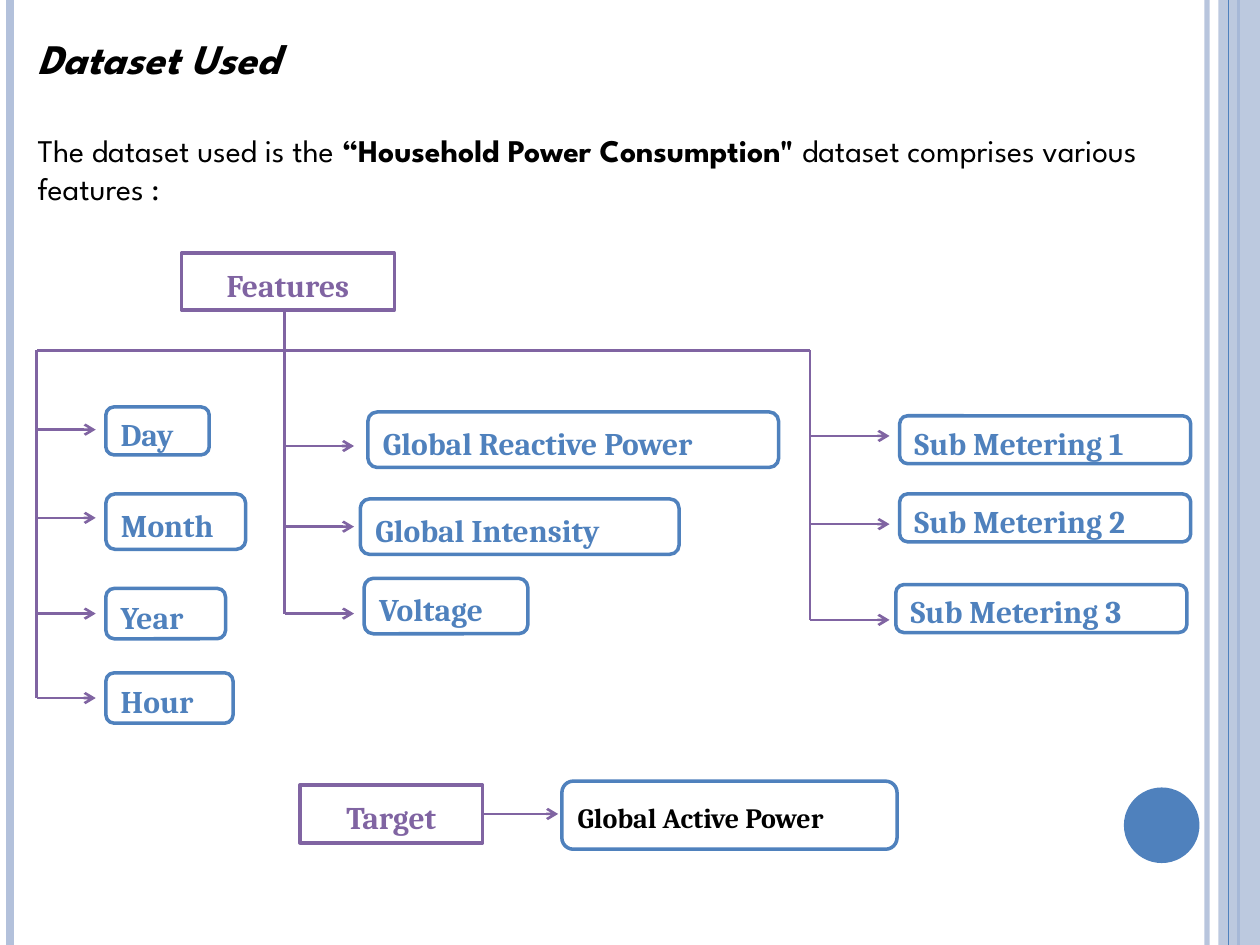
"""Build the dataset slide: a feature tree and its prediction target."""
from lxml import etree
from pptx import Presentation
from pptx.dml.color import RGBColor
from pptx.enum import shapes, text
from pptx.oxml import ns
from pptx.util import Pt

PX = 9144
COLORS = {"purple": "8064A2", "blue": "4F81BD", "pale": "B3C1DB",
          "white": "FFFFFF", "black": "000000"}
RGB = {name: RGBColor.from_string(value) for name, value in COLORS.items()}
KIND = shapes.MSO_SHAPE

deck = Presentation()
deck.slide_width, deck.slide_height = 1000 * PX, 750 * PX
page = deck.slides.add_slide(deck.slide_layouts[6])


def add_line(x1, y1, x2, y2, color="purple", width=1.5, arrow=False):
    line = page.shapes.add_connector(
        shapes.MSO_CONNECTOR.STRAIGHT, x1 * PX, y1 * PX, x2 * PX, y2 * PX)
    line.line.color.rgb = RGB[color]
    line.line.width = Pt(width)
    if arrow:
        etree.SubElement(line.line._ln, ns.qn("a:tailEnd"), type="arrow")
    etree.SubElement(line._element.spPr, ns.qn("a:effectLst"))
    return line


def add_label(kind, words, x, y, width, height, edge, ink, size=18, after=10):
    box = page.shapes.add_shape(kind, x * PX, y * PX, width * PX, height * PX)
    box.shadow.inherit = False
    box.fill.solid()
    box.fill.fore_color.rgb = RGB["white"]
    box.line.color.rgb = RGB[edge]
    box.line.width = Pt(2)
    box.text_frame.text = words
    box.text_frame.vertical_anchor = text.MSO_ANCHOR.MIDDLE
    para = box.text_frame.paragraphs[0]
    centred = kind == KIND.RECTANGLE
    para.alignment = text.PP_ALIGN.CENTER if centred else text.PP_ALIGN.LEFT
    para.line_spacing = 1.15
    para.space_after = Pt(after)
    font = para.runs[0].font
    font.name, font.size, font.bold = "Cambria", Pt(size), True
    font.color.rgb = RGB[ink]
    return box


inner_rule = add_line(958, 0, 958, 750, "pale", 3)
add_line(8, 0, 8, 750, "pale", 4.5)
add_line(983, 0, 983, 750, "blue", 1.5)
band = page.shapes.add_shape(KIND.RECTANGLE, 967 * PX, 0, 33 * PX, 750 * PX)
add_line(975, 0, 975, 750, "blue", 0.75)
disc = page.shapes.add_shape(KIND.OVAL, 892 * PX, 625 * PX, 60 * PX, 60 * PX)
for shape, color in ((band, "pale"), (disc, "blue")):
    shape.shadow.inherit = False
    shape.fill.solid()
    shape.fill.fore_color.rgb = RGB[color]
    shape.line.fill.background()
for part, alpha in ((inner_rule.line._ln, 93000), (band._element.spPr, 87000)):
    tint = part.find(ns.qn("a:solidFill"))[0]
    etree.SubElement(tint, ns.qn("a:alpha"), val=str(alpha))

passages = [
    (20, 21, 244, 50, 24, True, [("Dataset Used", True)]),
    (20, 99, 937, 71, 18, False, [
        ("The dataset used is the ", False),
        ("“Household Power Consumption\" ", True),
        ("dataset comprises various features :", False)]),
]
for x, y, width, height, size, italic, spans in passages:
    box = page.shapes.add_textbox(x * PX, y * PX, width * PX, height * PX)
    box.text_frame.word_wrap = True
    box.text_frame.auto_size = text.MSO_AUTO_SIZE.SHAPE_TO_FIT_TEXT
    para = box.text_frame.paragraphs[0]
    for words, bold in spans:
        span = para.add_run()
        span.text = words
        span.font.name, span.font.size = "League Spartan", Pt(size)
        span.font.bold, span.font.italic = bold, italic
        span.font.color.rgb = RGB["black"]

add_label(KIND.RECTANGLE, "Features", 144, 201, 169, 45, "purple", "purple")
add_line(226, 246, 226, 278)
add_line(643, 278, 29, 278)

branches = [
    (29, 76, [(341, "Day", 84, 323, 82, 38),
              (411, "Month", 84, 392, 111, 44),
              (487, "Year", 84, 467, 95, 40),
              (554, "Hour", 84, 534, 101, 40)]),
    (226, 281, [(354, "Global Reactive Power", 292, 327, 326, 44),
                (418, "Global Intensity", 286, 396, 253, 44),
                (487, "Voltage", 289, 459, 130, 44)]),
    (643, 706, [(346, "Sub Metering 1", 714, 330, 231, 38),
                (416, "Sub Metering 2", 714, 392, 231, 38),
                (492, "Sub Metering 3", 711, 464, 231, 38)]),
]
for trunk, tip, features in branches:
    add_line(trunk, features[-1][0], trunk, 278)
    for level, words, x, y, width, height in features:
        add_line(trunk, level, tip, level, arrow=True)
        add_label(KIND.ROUNDED_RECTANGLE, words, x, y, width, height, "blue", "blue")

target = add_label(KIND.RECTANGLE, "Target", 238, 623, 145, 46, "purple", "purple")
add_line(383, 646, 443, 646, arrow=True).begin_connect(target, 3)
add_label(KIND.ROUNDED_RECTANGLE, "Global Active Power", 446, 620, 266, 54,
          "blue", "black", size=16, after=0)

deck.save("out.pptx")
